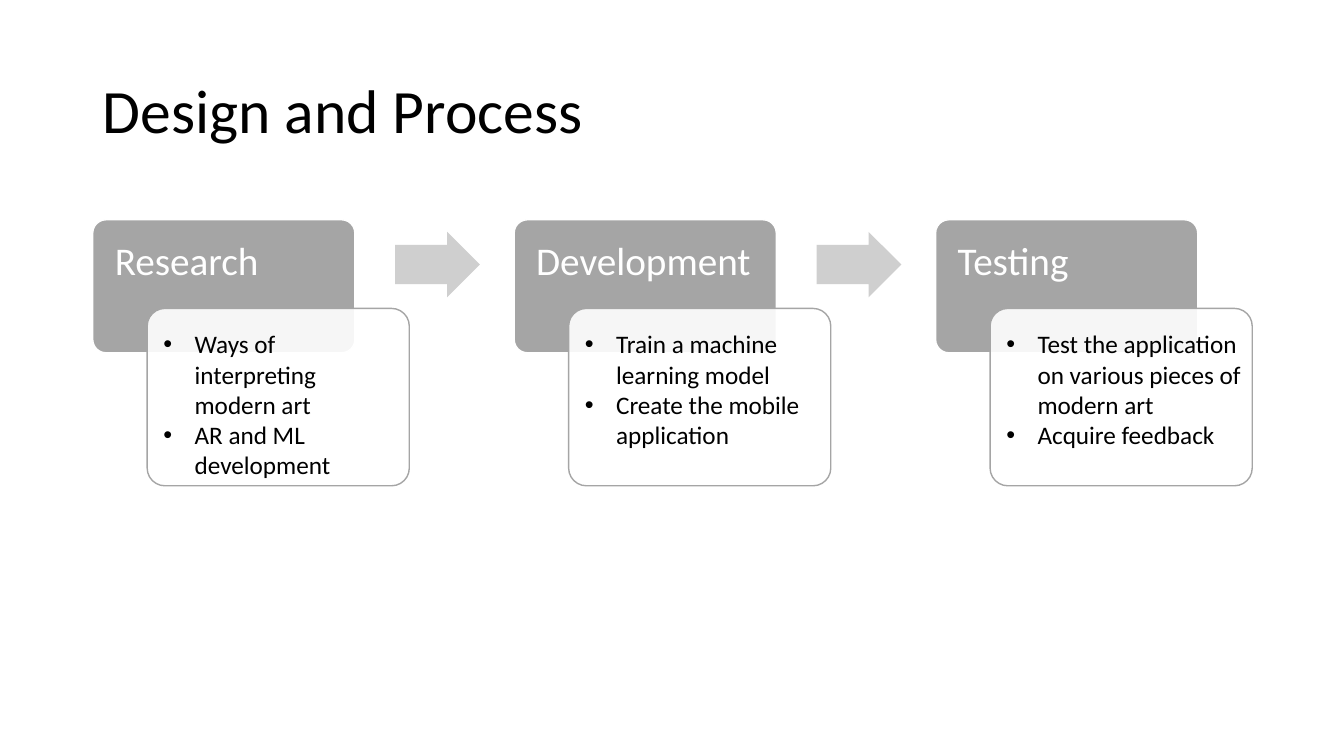
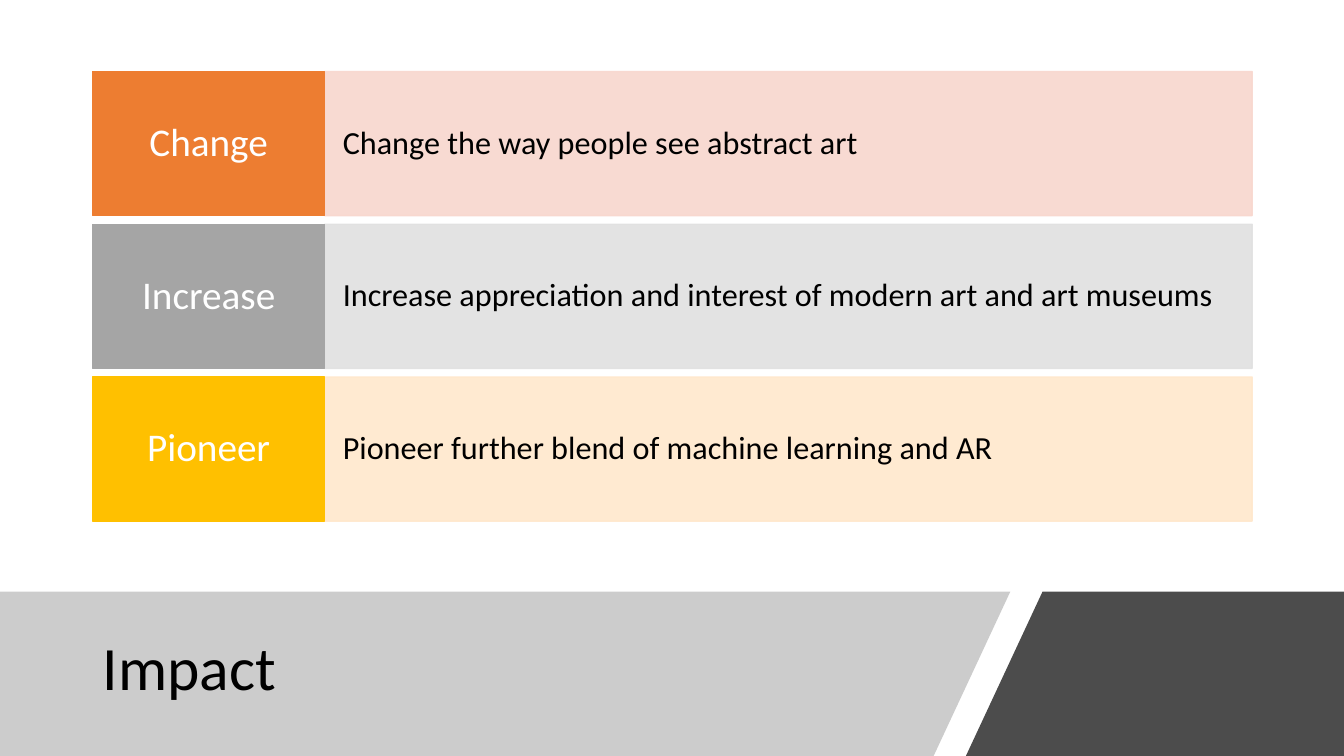
from dataclasses import dataclass

from lxml.etree import SubElement
from pptx import Presentation
from pptx.dml.color import RGBColor
from pptx.enum.shapes import MSO_SHAPE
from pptx.enum.text import MSO_ANCHOR, MSO_AUTO_SIZE, PP_ALIGN
from pptx.oxml.ns import qn
from pptx.util import Inches, Pt


@dataclass(frozen=True)
class Theme:
    font: str = "Calibri"
    black: str = "000000"
    white: str = "FFFFFF"
    gray: str = "A5A5A5"
    arrow: str = "CFCFCF"
    band: str = "808080"
    title_size: int = 44
    label_size: int = 28
    statement_size: int = 23
    bullet_size: int = 18
    line_width: int = 1
    line_spacing: float = 0.9


THEME = Theme()
WIDTH, HEIGHT = 13.33, 7.5
MARGIN = 0.92

PHASES = [
    ("Research", ["Ways of interpreting modern art", "AR and ML development"]),
    ("Development", ["Train a machine learning model", "Create the mobile application"]),
    ("Testing", ["Test the application on various pieces of modern art", "Acquire feedback"]),
]
IMPACTS = [
    ("Change", "Change the way people see abstract art", "ED7D31", "F8D7CE"),
    ("Increase", "Increase appreciation and interest of modern art and art museums",
     "A5A5A5", "E1E1E1"),
    ("Pioneer", "Pioneer further blend of machine learning and AR", "FFC000", "FFE8CC"),
]


def set_color(fill, color, opacity):
    fill.solid()
    fill.fore_color.rgb = RGBColor.from_string(color)
    if opacity < 100:
        for color_element in fill._xPr.iter(qn("a:srgbClr")):
            SubElement(color_element, qn("a:alpha"), val=str(opacity * 1000))


def style_shape(shape, fill, line=None, opacity=100, line_opacity=100):
    shape.shadow.inherit = False
    set_color(shape.fill, fill, opacity)
    if line:
        shape.line.width = Pt(THEME.line_width)
        set_color(shape.line.fill, line, line_opacity)
    else:
        shape.line.fill.background()


def add_box(slide, kind, box, fill, adjustments=(), **style):
    shape = slide.shapes.add_shape(kind, *map(Inches, box))
    for index, value in enumerate(adjustments):
        shape.adjustments[index] = value
    style_shape(shape, fill, **style)
    return shape


def write(shape, *lines, size, color=THEME.black, align=PP_ALIGN.LEFT,
          anchor=MSO_ANCHOR.MIDDLE, insets=(0.1, 0.05, 0.1, 0.05),
          spacing=THEME.line_spacing, bullet_indent=None):
    """Fill a shape with one paragraph per line; insets run left, top, right, bottom."""
    frame = shape.text_frame
    frame.word_wrap = True
    frame.auto_size = MSO_AUTO_SIZE.NONE
    frame.vertical_anchor = anchor
    (frame.margin_left, frame.margin_top,
     frame.margin_right, frame.margin_bottom) = map(Inches, insets)
    for index, line in enumerate(lines):
        paragraph = frame.add_paragraph() if index else frame.paragraphs[0]
        paragraph.text = line
        paragraph.alignment = align
        paragraph.line_spacing = spacing
        if bullet_indent:
            properties = paragraph._p.get_or_add_pPr()
            indent = Inches(bullet_indent)
            properties.set("marL", str(indent))
            properties.set("indent", str(-indent))
            SubElement(properties, qn("a:buFont"), typeface="Arial")
            SubElement(properties, qn("a:buChar"), char="•")
        font = paragraph.font
        font.name, font.size = THEME.font, Pt(size)
        font.color.rgb = RGBColor.from_string(color)


def add_titled_slide(presentation, title, box):
    slide = presentation.slides.add_slide(presentation.slide_layouts[5])
    placeholder = slide.shapes.title
    placeholder.left, placeholder.top, placeholder.width, placeholder.height = map(Inches, box)
    write(placeholder, title, size=THEME.title_size)
    return slide


def add_band(slide, points, color, opacity):
    """Draw a polygon behind the slide title."""
    start, *rest = [(Inches(x), Inches(y)) for x, y in points]
    builder = slide.shapes.build_freeform(*start)
    builder.add_line_segments(rest)
    band = builder.convert_to_shape()
    style_shape(band, color, opacity=opacity)
    slide.shapes.title.element.addprevious(band.element)


def build_process(presentation):
    slide = add_titled_slide(presentation, "Design and Process", (MARGIN, 0.4, 11.5, 1.45))
    top, pitch, card_width = 2.18, 4.18, 2.6
    for index, (phase, tasks) in enumerate(PHASES):
        left = MARGIN + index * pitch
        header = add_box(slide, MSO_SHAPE.ROUNDED_RECTANGLE, (left, top, card_width, 1.32),
                         THEME.gray, [0.1], line=THEME.white)
        write(header, phase, size=THEME.label_size, color=THEME.white,
              anchor=MSO_ANCHOR.TOP, insets=(0.18, 0.18, 0.18, 0.12))
        card = add_box(slide, MSO_SHAPE.ROUNDED_RECTANGLE,
                       (left + 0.54, top + 0.88, card_width, 1.76),
                       THEME.white, [0.1], line=THEME.gray, opacity=90)
        write(card, *tasks, size=THEME.bullet_size, anchor=MSO_ANCHOR.TOP,
              insets=(0.11, 0.15, 0.03, 0), spacing=1.0, bullet_indent=0.31)
        if index < len(PHASES) - 1:
            add_box(slide, MSO_SHAPE.RIGHT_ARROW, (left + 3, top + 0.12, 0.84, 0.65),
                    THEME.arrow, [0.6, 0.5])


def build_impact(presentation):
    slide = add_titled_slide(presentation, "Impact", (MARGIN, 6.05, 8.44, 1.2))
    band_top = 5.87
    add_band(slide, [(0, band_top), (10.02, band_top), (9.26, HEIGHT), (0, HEIGHT)],
             THEME.band, 40)
    add_band(slide, [(10.34, band_top), (WIDTH, band_top), (WIDTH, HEIGHT), (9.58, HEIGHT)],
             THEME.black, 70)
    top, pitch, row_height = 0.71, 1.515, 1.43
    label_width, statement_width = 2.3, 9.2
    for index, (label, statement, strong, pale) in enumerate(IMPACTS):
        row_top = top + index * pitch
        statement_box = add_box(
            slide, MSO_SHAPE.RECTANGLE,
            (MARGIN + label_width, row_top, statement_width, row_height),
            pale, line=pale, opacity=90, line_opacity=90)
        write(statement_box, statement, size=THEME.statement_size,
              insets=(0.18, 0.36, 0.18, 0.36))
        label_box = add_box(slide, MSO_SHAPE.RECTANGLE,
                            (MARGIN, row_top, label_width, row_height), strong, line=strong)
        write(label_box, label, size=THEME.label_size, color=THEME.white,
              align=PP_ALIGN.CENTER, insets=(0.12, 0.14, 0.12, 0.14))


def main():
    presentation = Presentation()
    presentation.slide_width, presentation.slide_height = Inches(WIDTH), Inches(HEIGHT)
    build_process(presentation)
    build_impact(presentation)
    presentation.save("out.pptx")


if __name__ == "__main__":
    main()
